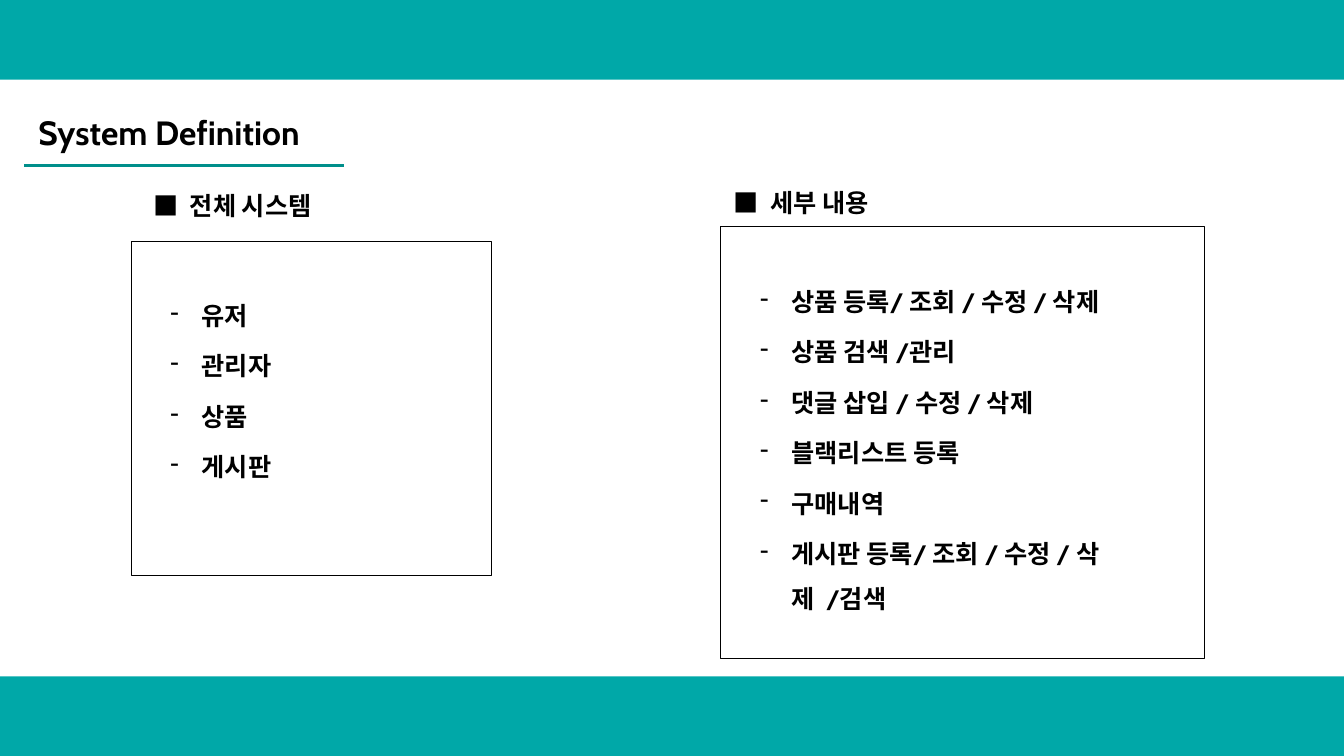
from lxml import etree
from pptx import Presentation
from pptx.dml.color import RGBColor
from pptx.enum.shapes import MSO_CONNECTOR, MSO_SHAPE
from pptx.enum.text import MSO_ANCHOR, MSO_AUTO_SIZE, PP_ALIGN
from pptx.oxml.ns import qn
from pptx.util import Pt

RECT = MSO_SHAPE.RECTANGLE
LINE = MSO_CONNECTOR.STRAIGHT
MID = MSO_ANCHOR.MIDDLE
FIXED = MSO_AUTO_SIZE.NONE
LEFT, MIDDLE = PP_ALIGN.LEFT, PP_ALIGN.CENTER

SCALE = 9144
WIDE, HIGH = 1333, 750


def px(*sizes):
    return [size * SCALE for size in sizes]


def color(code):
    return RGBColor.from_string(code)


class Page:
    ink, teal, rule = "000000", "00A8A8", "008F8B"
    font, mark = "Cabin", "Roboto"
    size = 18

    def __init__(self, deck):
        self.slide = deck.slides.add_slide(deck.slide_layouts[5])
        self.shapes = self.slide.shapes

    def frame(self, shape, pads=(0, 0, 0, 0)):
        frame = shape.text_frame
        frame.word_wrap = True
        frame.auto_size = FIXED
        frame.vertical_anchor = MID
        (frame.margin_left, frame.margin_top,
         frame.margin_right, frame.margin_bottom) = px(*pads)
        return frame

    def run(self, para, text, font, bold, size):
        run = para.add_run()
        run.text = text
        run.font.name = font
        run.font.bold = bold
        run.font.size = Pt(size)
        run.font.color.rgb = color(self.ink)

    def title(self, text, box):
        shape = self.shapes.title
        shape.left, shape.top, shape.width, shape.height = px(*box)
        para = self.frame(shape).paragraphs[0]
        para.alignment = LEFT
        para.line_spacing = 0.9
        self.run(para, text, self.font, True, 24)

    def head(self, text, box):
        para = self.frame(self.shapes.add_textbox(*px(*box))).paragraphs[0]
        para.alignment = MIDDLE
        self.run(para, "■  ", self.mark, False, self.size)
        self.run(para, text, self.font, True, self.size)

    def rect(self, box, fill=None):
        shape = self.shapes.add_shape(RECT, *px(*box))
        shape.shadow.inherit = False
        if fill:
            shape.fill.solid()
            shape.fill.fore_color.rgb = color(fill)
            shape.line.fill.background()
        else:
            shape.fill.background()
            shape.line.color.rgb = color(self.ink)
            shape.line.width = Pt(0.75)
        return shape

    def items(self, lines, box, foot=39):
        frame = self.frame(self.rect(box), (39, 39, 39, foot))
        indent = px(31)[0]
        for n, text in enumerate(lines):
            para = frame.add_paragraph() if n else frame.paragraphs[0]
            para.alignment = LEFT
            para.line_spacing = 1.5
            para.space_before = Pt(3.6)
            props = para._p.get_or_add_pPr()
            props.set("marL", str(indent))
            props.set("indent", str(-indent))
            etree.SubElement(props, qn("a:buChar")).set("char", "-")
            self.run(para, text, self.font, True, self.size)

    def line(self, ends):
        line = self.shapes.add_connector(LINE, *px(*ends))
        line.line.color.rgb = color(self.rule)
        line.line.width = Pt(2.25)
        etree.SubElement(line._element.spPr, qn("a:effectLst"))


def main():
    deck = Presentation()
    deck.slide_width, deck.slide_height = px(WIDE, HIGH)
    page = Page(deck)
    page.title("System Definition", (38, 116, 929, 36))
    page.head("전체 시스템", (93, 189, 275, 30))
    page.items(["유저", "관리자", "상품", "게시판"],
               (130, 240, 358, 331), foot=89)
    page.items(["상품 등록/ 조회 / 수정 / 삭제",
                "상품 검색 /관리",
                "댓글 삽입 / 수정 / 삭제",
                "블랙리스트 등록",
                "구매내역",
                "게시판 등록/ 조회 / 수정 / 삭제  /검색"],
               (715, 225, 480, 428))
    page.head("세부 내용", (657, 186, 275, 30))
    band = 79
    for top in (HIGH - band, 0):
        page.rect((0, top, WIDE, band), page.teal)
    page.line((24, 164, 341, 164))
    deck.save("out.pptx")


if __name__ == "__main__":
    main()
